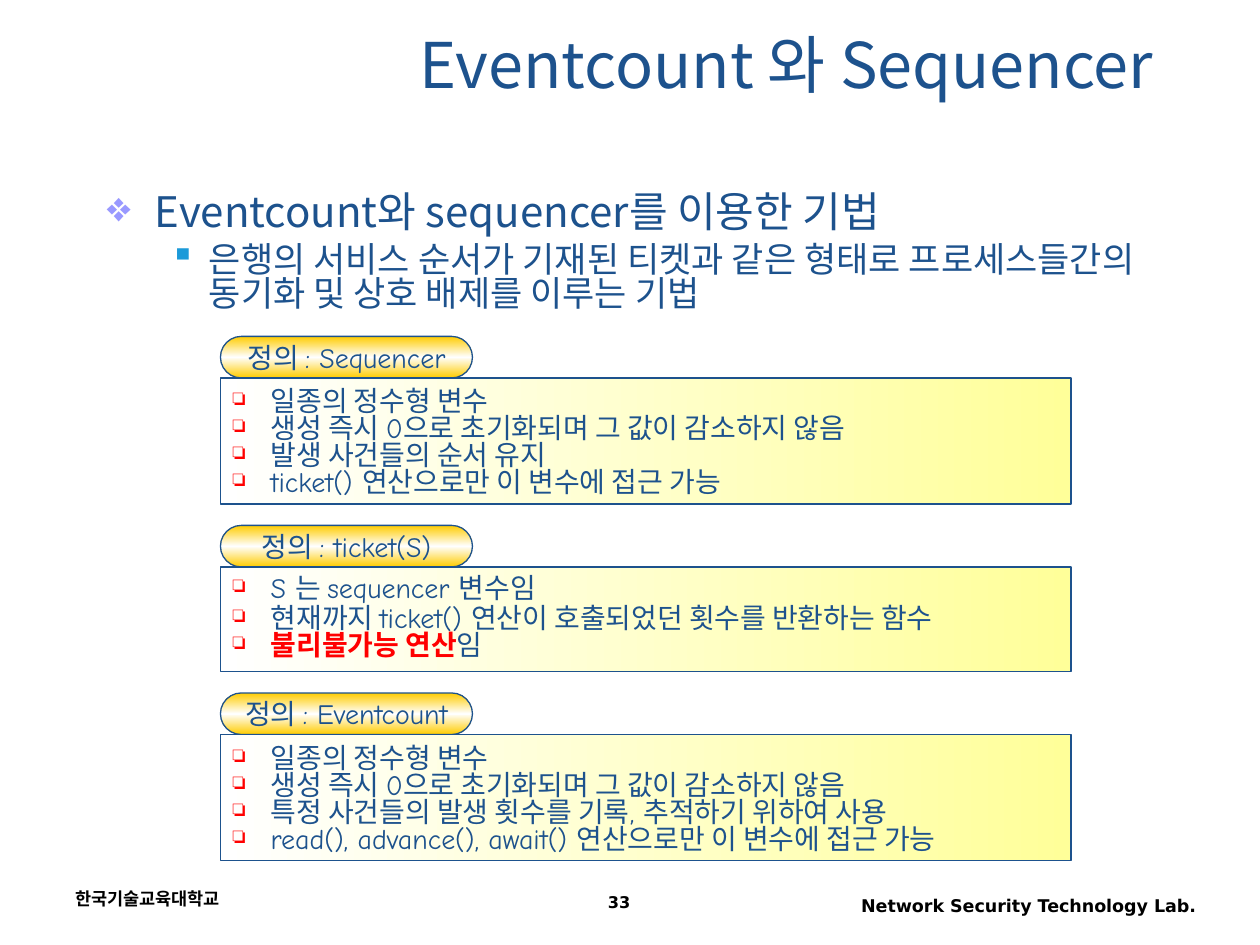
"""Build the slide that defines sequencers, ticket(S) and eventcounts."""
from lxml import etree
from pptx import Presentation
from pptx import util as u
from pptx.dml.color import RGBColor
from pptx.enum import shapes, text
from pptx.oxml.ns import qn

NAVY = RGBColor(0x1D, 0x52, 0x8D)
BLACK = RGBColor(0, 0, 0)
RED = RGBColor(0xFF, 0, 0)
LILAC = RGBColor(0x99, 0x99, 0xFF)
SKY = RGBColor(0x1B, 0x9A, 0xD9)
WHITE = RGBColor(0xFF, 0xFF, 0xFF)
GOLD = RGBColor(0xFF, 0xCC, 0)
CREAM = RGBColor(0xFF, 0xFF, 0x99)

LEFT, CENTER, RIGHT = text.PP_ALIGN.LEFT, text.PP_ALIGN.CENTER, text.PP_ALIGN.RIGHT
MIDDLE = text.MSO_ANCHOR.MIDDLE
KOREAN = "Noto Sans CJK KR"
HEADING = {"size": u.Pt(36), "name": KOREAN}
TOPIC = {"size": u.Pt(24), "name": KOREAN}
DETAIL = {"size": u.Pt(20), "name": KOREAN}
NOTE = {"size": u.Pt(16), "name": "Comic Neue"}
FOOTER = {"size": u.Pt(10), "name": "DejaVu Sans", "bold": True, "color": BLACK}

INTEGER = ("일종의 정수형 변수", 1)
FROM_ZERO = ("생성 즉시 0으로 초기화되며 그 값이 감소하지 않음", 0.8)
DEFINITIONS = [
    ("정의 : Sequencer", 1, [
        INTEGER,
        FROM_ZERO,
        ("발생 사건들의 순서 유지", 0.8),
        ("ticket() 연산으로만 이 변수에 접근 가능", 0.8),
    ]),
    ("정의 : ticket(S)", 0.83, [
        ("S 는 sequencer 변수임", 0.8),
        ("현재까지 ticket() 연산이 호출되었던 횟수를 반환하는 함수", 0.9),
        ("*불리불가능 연산*임", 0.8),
    ]),
    ("정의 : Eventcount", 1, [
        INTEGER,
        FROM_ZERO,
        ("특정 사건들의 발생 횟수를 기록, 추적하기 위하여 사용", 0.8),
        ("read(), advance(), await() 연산으로만 이 변수에 접근 가능", 0.8),
    ]),
]


class Deck:
    """Hold the style and the current slide."""

    def __init__(self):
        self.prs = Presentation()
        self.prs.slide_width, self.prs.slide_height = u.Inches(10), u.Inches(7.5)
        self.s = self.prs.slides.add_slide(self.prs.slide_layouts[6])

    def fill_text(self, p, words, font, **fmt):
        """Fill a paragraph, with words between asterisks in bold red."""
        for key, value in fmt.items():
            setattr(p, key, value)
        for i, part in enumerate(words.split("*")):
            if not part:
                continue
            r = p.add_run()
            r.text = part
            style = {**font, "bold": True, "color": RED} if i % 2 else font
            for key, value in style.items():
                if key != "color":
                    setattr(r.font, key, value)
            r.font.color.rgb = style.get("color", NAVY)
            etree.SubElement(r._r.get_or_add_rPr(), qn("a:ea"), typeface=KOREAN)

    def bullet(self, p, char, color, margin, hang, size=100):
        """Give a paragraph a coloured bullet and a hanging indent."""
        pPr = p._p.get_or_add_pPr()
        pPr.set("marL", str(u.Inches(margin)))
        pPr.set("indent", str(-u.Inches(hang)))
        clr = etree.SubElement(pPr, qn("a:buClr"))
        etree.SubElement(clr, qn("a:srgbClr"), val=str(color))
        etree.SubElement(pPr, qn("a:buSzPct"), val=str(size * 1000))
        etree.SubElement(pPr, qn("a:buChar"), char=char)

    def textbox(self, x, y, w, h):
        """Add a wrapping text frame."""
        tf = self.s.shapes.add_textbox(*map(u.Inches, (x, y, w, h))).text_frame
        tf.word_wrap = True
        return tf

    def label(self, x, y, w, h, words, font, **fmt):
        """Add one line of text."""
        tf = self.textbox(x, y, w, h)
        self.fill_text(tf.paragraphs[0], words, font, **fmt)
        return tf

    def shape(self, kind, x, y, w, h, colors, angle):
        """Add an outlined shape with evenly spaced gradient stops."""
        sp = self.s.shapes.add_shape(kind, *map(u.Inches, (x, y, w, h)))
        sp.shadow.inherit = False
        sp.line.color.rgb, sp.line.width = NAVY, u.Pt(0.75)
        sp.fill.gradient()
        sp.fill.gradient_angle = angle
        stops = sp._element.spPr.find(".//" + qn("a:gsLst"))
        stops[:] = []
        for i, color in enumerate(colors):
            pos = 100000 * i // (len(colors) - 1)
            gs = etree.SubElement(stops, qn("a:gs"), pos=str(pos))
            etree.SubElement(gs, qn("a:srgbClr"), val=str(color))
        sp.text_frame.vertical_anchor = MIDDLE
        return sp

    def definition(self, y, name, height, items):
        """Add a rounded heading above a box of bulleted items."""
        sp = self.shape(shapes.MSO_SHAPE.ROUNDED_RECTANGLE, 1.75, y, 2, 0.33,
                        (GOLD, WHITE, GOLD), 90)
        sp.adjustments[0] = 0.5
        sp.text_frame.word_wrap = False
        self.fill_text(sp.text_frame.paragraphs[0], name, NOTE, alignment=CENTER)
        sp = self.shape(shapes.MSO_SHAPE.RECTANGLE, 1.75, y + 0.33, 6.75, height,
                        (WHITE, CREAM), 0)
        tf = sp.text_frame
        tf.word_wrap = True
        for i, (words, spacing) in enumerate(items):
            p = tf.add_paragraph() if i else tf.paragraphs[0]
            self.bullet(p, "❏", RED, 0.3, 0.3, 80)
            self.fill_text(p, words, NOTE, alignment=LEFT, line_spacing=spacing)


def main():
    deck = Deck()
    deck.label(0.5, 7, 2.33, 0.33, "한국기술교육대학교", FOOTER)
    deck.label(6.42, 7.05, 3.17, 0.32, "Network Security Technology Lab.", FOOTER,
               alignment=RIGHT)
    deck.label(3.75, 7.05, 2.33, 0.28, "33", {**FOOTER, "size": u.Pt(9.2)},
               alignment=CENTER, line_spacing=0.9)
    title = deck.label(0.75, 0.17, 8.5, 0.66, "Eventcount 와 Sequencer", HEADING,
                       alignment=RIGHT)
    title.vertical_anchor = MIDDLE

    body = deck.textbox(0.75, 1.47, 8.5, 1.08)
    p = body.paragraphs[0]
    deck.bullet(p, "❖", LILAC, 0.38, 0.38)
    deck.fill_text(p, "Eventcount와 sequencer를 이용한 기법", TOPIC, line_spacing=0.9)
    p = body.add_paragraph()
    deck.bullet(p, "▪", SKY, 0.81, 0.31)
    deck.fill_text(p, "은행의 서비스 순서가 기재된 티켓과 같은 형태로 프로세스들간의 "
                   "동기화 및 상호 배제를 이루는 기법", DETAIL,
                   level=1, line_spacing=0.8, space_before=u.Pt(5))

    y = 2.67
    for name, height, items in DEFINITIONS:
        deck.definition(y, name, height, items)
        y += 0.33 + height + 0.17
    deck.prs.save("out.pptx")


if __name__ == "__main__":
    main()
